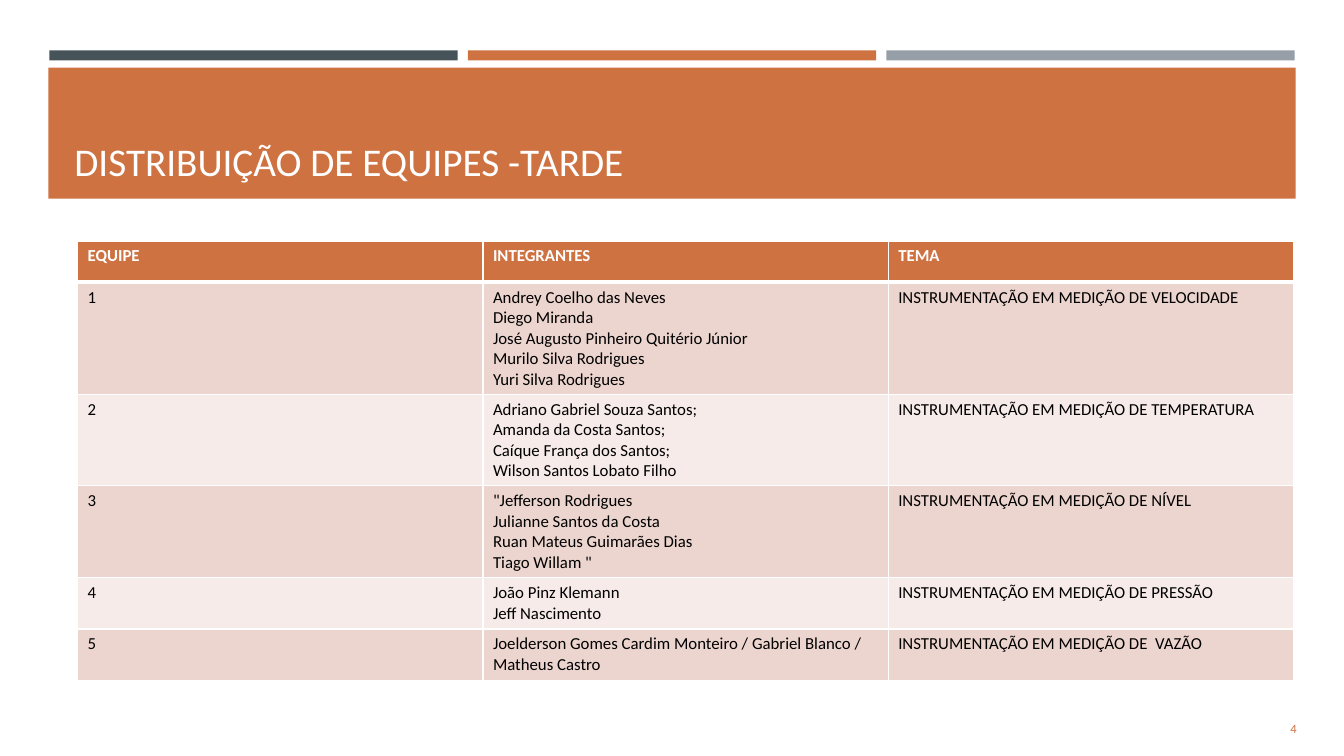
from lxml.etree import SubElement
from pptx import Presentation
from pptx.dml.color import RGBColor
from pptx.enum.shapes import MSO_SHAPE
from pptx.enum.text import MSO_ANCHOR, PP_ALIGN
from pptx.oxml import parse_xml
from pptx.oxml.ns import nsdecls, qn
from pptx.util import Inches, Pt

FONT = "Calibri"
ORANGE, WHITE, BLACK = "CE7242", "FFFFFF", "000000"
BAND_FILLS = ("EDD5CF", "F6EBE9")

TITLE = "DISTRIBUIÇÃO DE EQUIPES -TARDE"
SLIDE_NUMBER = "4"
STRIPE_COLORS = ("465359", ORANGE, "969FA7")
HEADERS = ("EQUIPE", "INTEGRANTES", "TEMA")
TEAMS = [
    (["Andrey Coelho das Neves", "Diego Miranda", "José Augusto Pinheiro Quitério Júnior",
      "Murilo Silva Rodrigues", "Yuri Silva Rodrigues"],
     "INSTRUMENTAÇÃO EM MEDIÇÃO DE VELOCIDADE"),
    (["Adriano Gabriel Souza Santos;", "Amanda da Costa Santos;",
      "Caíque França dos Santos;", "Wilson Santos Lobato Filho"],
     "INSTRUMENTAÇÃO EM MEDIÇÃO DE TEMPERATURA"),
    (['"Jefferson Rodrigues', "Julianne Santos da Costa",
      "Ruan Mateus Guimarães Dias", 'Tiago Willam "'],
     "INSTRUMENTAÇÃO EM MEDIÇÃO DE NÍVEL"),
    (["João Pinz Klemann", "Jeff Nascimento"],
     "INSTRUMENTAÇÃO EM MEDIÇÃO DE PRESSÃO"),
    (["Joelderson Gomes Cardim Monteiro / Gabriel Blanco / Matheus Castro"],
     "INSTRUMENTAÇÃO EM MEDIÇÃO DE  VAZÃO"),
]
HEADER_HEIGHT = 0.41
TEAM_HEIGHTS = (1.11, 0.91, 0.91, 0.51, 0.51)
COLUMN_WIDTH = 4.02


def color(hex_code):
    return RGBColor.from_string(hex_code)


def write(text_frame, lines, size=12, font_color=BLACK, bold=False, align=PP_ALIGN.LEFT):
    """Put each line in its own paragraph."""
    for index, line in enumerate(lines):
        paragraph = text_frame.add_paragraph() if index else text_frame.paragraphs[0]
        paragraph.alignment = align
        run = paragraph.add_run()
        run.text = line
        run.font.name = FONT
        run.font.size = Pt(size)
        run.font.bold = bold
        run.font.color.rgb = color(font_color)


def add_bar(slide, left, top, width, height, fill):
    shape = slide.shapes.add_shape(
        MSO_SHAPE.RECTANGLE, Inches(left), Inches(top), Inches(width), Inches(height))
    shape.shadow.inherit = False
    shape.fill.solid()
    shape.fill.fore_color.rgb = color(fill)
    shape.line.fill.background()


def add_text(slide, left, top, width, height, text, anchor, **text_format):
    box = slide.shapes.add_textbox(Inches(left), Inches(top), Inches(width), Inches(height))
    box.text_frame.word_wrap = True
    box.text_frame.vertical_anchor = anchor
    write(box.text_frame, [text], **text_format)


def set_borders(cell, top, bottom):
    """Draw white borders, with the top and bottom widths in points."""
    properties = cell._tc.get_or_add_tcPr()
    widths = {"lnL": 1, "lnR": 1, "lnT": top, "lnB": bottom}
    for position, (side, width) in enumerate(widths.items()):
        line = parse_xml(f'<a:{side} {nsdecls("a")} w="{Pt(width)}"/>')
        fill = SubElement(line, qn("a:solidFill"))
        SubElement(fill, qn("a:srgbClr"), val=WHITE)
        properties.insert(position, line)


def fill_cell(cell, lines, fill, top=1, bottom=1, **text_format):
    cell.fill.solid()
    cell.fill.fore_color.rgb = color(fill)
    set_borders(cell, top, bottom)
    write(cell.text_frame, lines, **text_format)


def add_team_table(slide):
    heights = (HEADER_HEIGHT, *TEAM_HEIGHTS)
    table = slide.shapes.add_table(
        len(heights), len(HEADERS), Inches(0.77), Inches(2.39),
        Inches(COLUMN_WIDTH * len(HEADERS)), Inches(sum(heights))).table
    for column in table.columns:
        column.width = Inches(COLUMN_WIDTH)
    for row, height in zip(table.rows, heights):
        row.height = Inches(height)

    for cell, header in zip(table.rows[0].cells, HEADERS):
        fill_cell(cell, [header], ORANGE, bottom=3, font_color=WHITE, bold=True)
    for number, (members, theme) in enumerate(TEAMS, start=1):
        band = BAND_FILLS[(number - 1) % 2]
        for cell, lines in zip(table.rows[number].cells, ([str(number)], members, [theme])):
            fill_cell(cell, lines, band, top=3 if number == 1 else 1)


def main():
    presentation = Presentation()
    presentation.slide_width = Inches(13.33)
    presentation.slide_height = Inches(7.5)
    slide = presentation.slides.add_slide(presentation.slide_layouts[6])

    for index, stripe_color in enumerate(STRIPE_COLORS):
        add_bar(slide, 0.49 + index * 4.15, 0.5, 4.05, 0.1, stripe_color)
    add_bar(slide, 0.48, 0.67, 12.37, 1.3, ORANGE)
    add_text(slide, 0.64, 0.77, 12.06, 1.11, TITLE, MSO_ANCHOR.BOTTOM,
             size=28, font_color=WHITE)
    add_team_table(slide)
    add_text(slide, 11.81, 7.03, 1.15, 0.4, SLIDE_NUMBER, MSO_ANCHOR.MIDDLE,
             size=9, font_color=ORANGE, align=PP_ALIGN.RIGHT)
    presentation.save("out.pptx")


if __name__ == "__main__":
    main()
